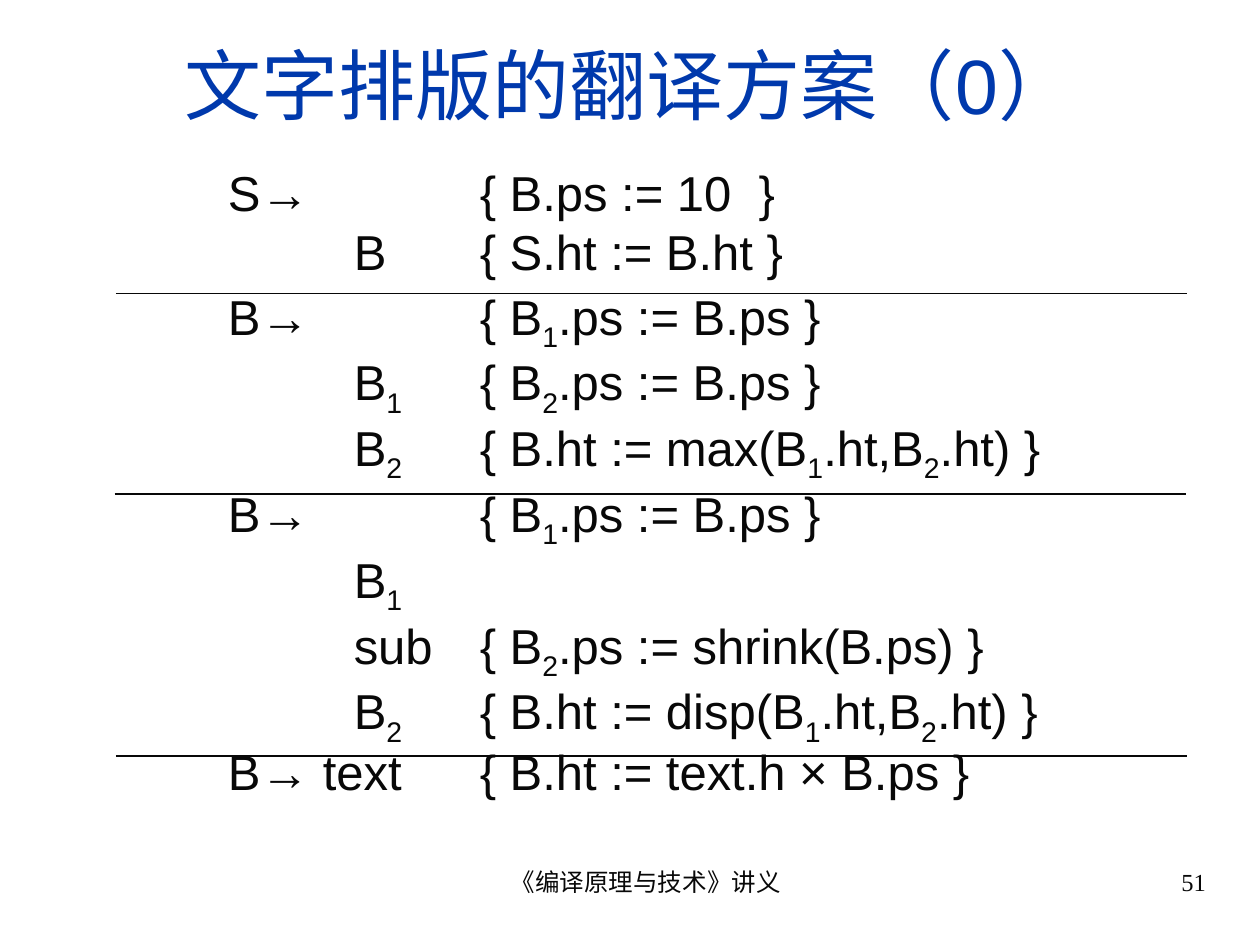
from dataclasses import dataclass
from typing import Optional

from lxml import etree
from pptx import Presentation
from pptx import util as u
from pptx.dml.color import RGBColor
from pptx.enum import shapes, text
from pptx.oxml import ns


@dataclass(frozen=True)
class Theme:
    title_color: RGBColor = RGBColor(0x00, 0x39, 0xAC)
    ink: RGBColor = RGBColor(0x08, 0x08, 0x08)
    sans: str = "Arial"
    serif: str = "Times New Roman"
    title_size: int = 44
    body_size: int = 28
    footer_size: int = 14
    line_width: float = 0.75


@dataclass(frozen=True)
class Box:
    left: float
    top: float
    width: float
    height: float
    inset_left: float = 0.1


@dataclass(frozen=True)
class Style:
    font: str
    size: int
    color: RGBColor
    align: text.PP_ALIGN = text.PP_ALIGN.LEFT


@dataclass(frozen=True)
class Row:
    """One line of a production; "_" marks the next character as a subscript."""
    head: str
    symbol: Optional[str]  # None when the head runs on into the symbol column
    action: str = ""

    def tabbed(self) -> str:
        columns = [self.head, self.symbol, self.action]
        return "".join("\t" + column for column in columns if column is not None)


THEME = Theme()
COLUMN_TABS = (1.38, 2.38, 3.38)  # head, symbol, action
DIVIDER_LENGTH = 8.5
DIVIDERS = ((0.92, 2.33), (0.91, 3.92), (0.92, 6.0))

ROWS = (
    Row("S→", "", "{ B.ps := 10  }"),
    Row("", "B", "{ S.ht := B.ht }"),
    Row("B→", "", "{ B_1.ps := B.ps }"),
    Row("", "B_1", "{ B_2.ps := B.ps }"),
    Row("", "B_2", "{ B.ht := max(B_1.ht,B_2.ht) }"),
    Row("B→", "", "{ B_1.ps := B.ps }"),
    Row("", "B_1"),
    Row("", "sub", "{ B_2.ps := shrink(B.ps) }"),
    Row("", "B_2", "{ B.ht := disp(B_1.ht,B_2.ht) }"),
    Row("B→ text", None, "{ B.ht := text.h × B.ps }"),
)


def add_frame(slide, box: Box, anchor=text.MSO_ANCHOR.TOP):
    shape = slide.shapes.add_textbox(u.Inches(box.left), u.Inches(box.top),
                                     u.Inches(box.width), u.Inches(box.height))
    frame = shape.text_frame
    settings = {
        "word_wrap": True,
        "vertical_anchor": anchor,
        "margin_left": u.Inches(box.inset_left),
        "margin_right": u.Inches(0.1),
        "margin_top": u.Inches(0.05),
        "margin_bottom": u.Inches(0.05),
    }
    for name, value in settings.items():
        setattr(frame, name, value)
    return frame


def add_run(paragraph, content: str, style: Style, subscript: bool = False) -> None:
    run = paragraph.add_run()
    run.text = content
    for name, value in {"name": style.font, "size": u.Pt(style.size)}.items():
        setattr(run.font, name, value)
    run.font.color.rgb = style.color
    if subscript:
        run._r.get_or_add_rPr().set("baseline", "-25000")


def add_label(slide, box: Box, content: str, style: Style,
              anchor=text.MSO_ANCHOR.TOP) -> None:
    paragraph = add_frame(slide, box, anchor).paragraphs[0]
    paragraph.alignment = style.align
    add_run(paragraph, content, style)


def set_tabs(paragraph, positions: tuple[float, ...]) -> None:
    properties = paragraph._p.get_or_add_pPr()
    tab_list = etree.SubElement(properties, ns.qn("a:tabLst"))
    for position in positions:
        etree.SubElement(tab_list, ns.qn("a:tab"),
                         pos=str(u.Inches(position)), algn="l")


def add_scheme(slide, box: Box, rows: tuple[Row, ...], style: Style) -> None:
    frame = add_frame(slide, box)
    for index, row in enumerate(rows):
        paragraph = frame.add_paragraph() if index else frame.paragraphs[0]
        for name, value in {"line_spacing": 0.8, "space_before": u.Pt(7)}.items():
            setattr(paragraph, name, value)
        set_tabs(paragraph, COLUMN_TABS)
        first, *rest = row.tabbed().split("_")
        add_run(paragraph, first, style)
        for piece in rest:
            add_run(paragraph, piece[0], style, subscript=True)
            if piece[1:]:
                add_run(paragraph, piece[1:], style)


def add_divider(slide, left: float, top: float) -> None:
    line = slide.shapes.add_connector(
        shapes.MSO_CONNECTOR.STRAIGHT, u.Inches(left), u.Inches(top),
        u.Inches(left + DIVIDER_LENGTH), u.Inches(top))
    line.line.color.rgb = THEME.ink
    line.line.width = u.Pt(THEME.line_width)
    etree.SubElement(line._element.spPr, ns.qn("a:effectLst"))


def main() -> None:
    presentation = Presentation()
    presentation.slide_width = u.Inches(10)
    presentation.slide_height = u.Inches(7.5)
    slide = presentation.slides.add_slide(presentation.slide_layouts[6])

    # Title
    add_label(slide, Box(0.33, 0.25, 9.34, 0.83), "文字排版的翻译方案（0）",
              Style(THEME.sans, THEME.title_size, THEME.title_color,
                    text.PP_ALIGN.CENTER), text.MSO_ANCHOR.MIDDLE)

    # Translation scheme and the lines between its productions
    add_scheme(slide, Box(0.33, 1.33, 9.34, 5.34), ROWS,
               Style(THEME.sans, THEME.body_size, THEME.ink))
    for left, top in DIVIDERS:
        add_divider(slide, left, top)

    # Footer and page number
    footer = (
        (Box(3.42, 6.83, 3.17, 0.52, 0.34), "《编译原理与技术》讲义", text.PP_ALIGN.CENTER),
        (Box(7.17, 6.83, 2.5, 0.52), "51", text.PP_ALIGN.RIGHT),
    )
    for box, content, align in footer:
        add_label(slide, box, content,
                  Style(THEME.serif, THEME.footer_size, THEME.ink, align))

    presentation.save("out.pptx")


if __name__ == "__main__":
    main()
